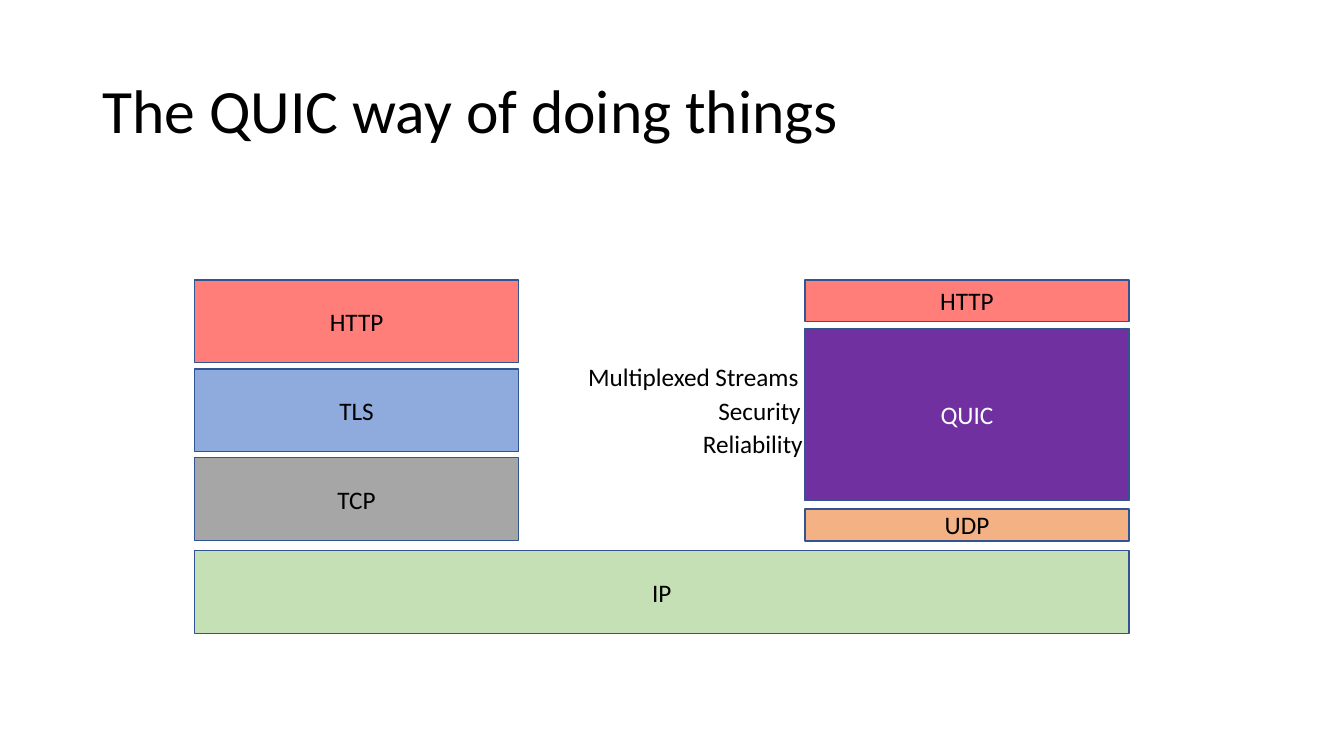
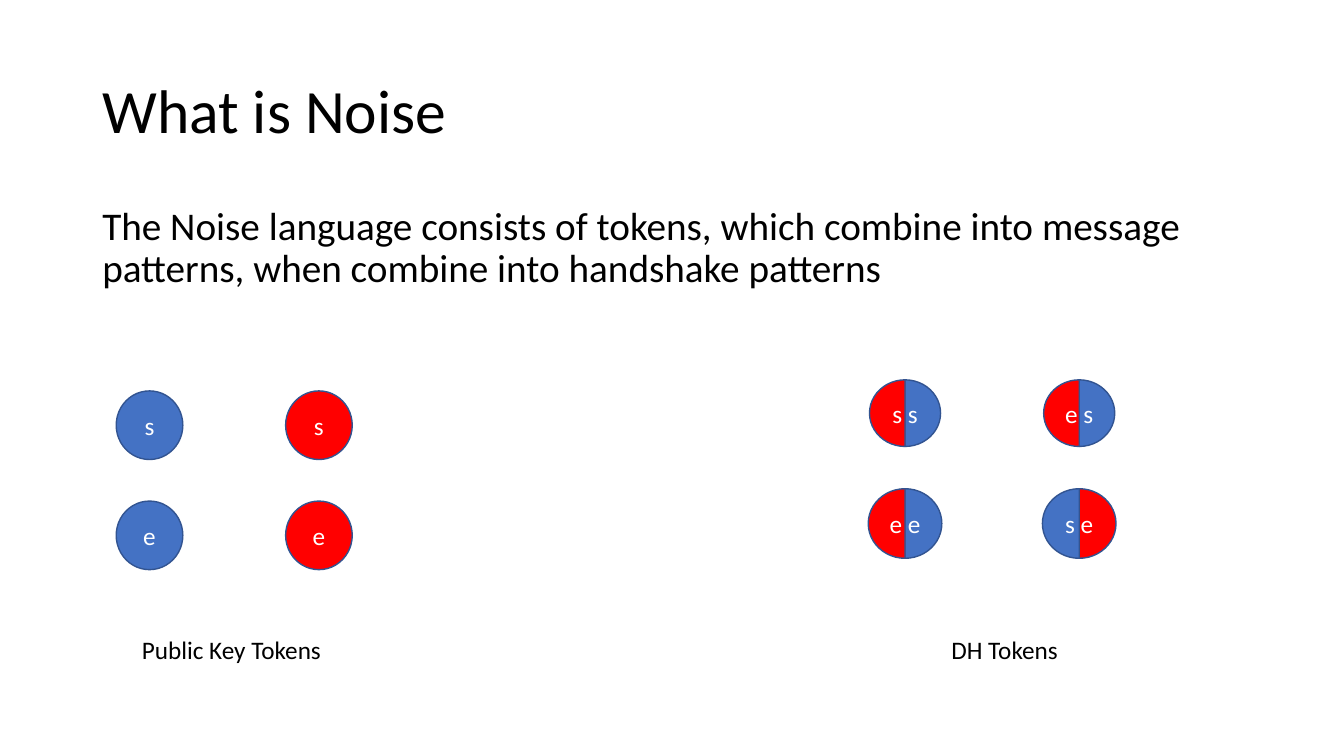
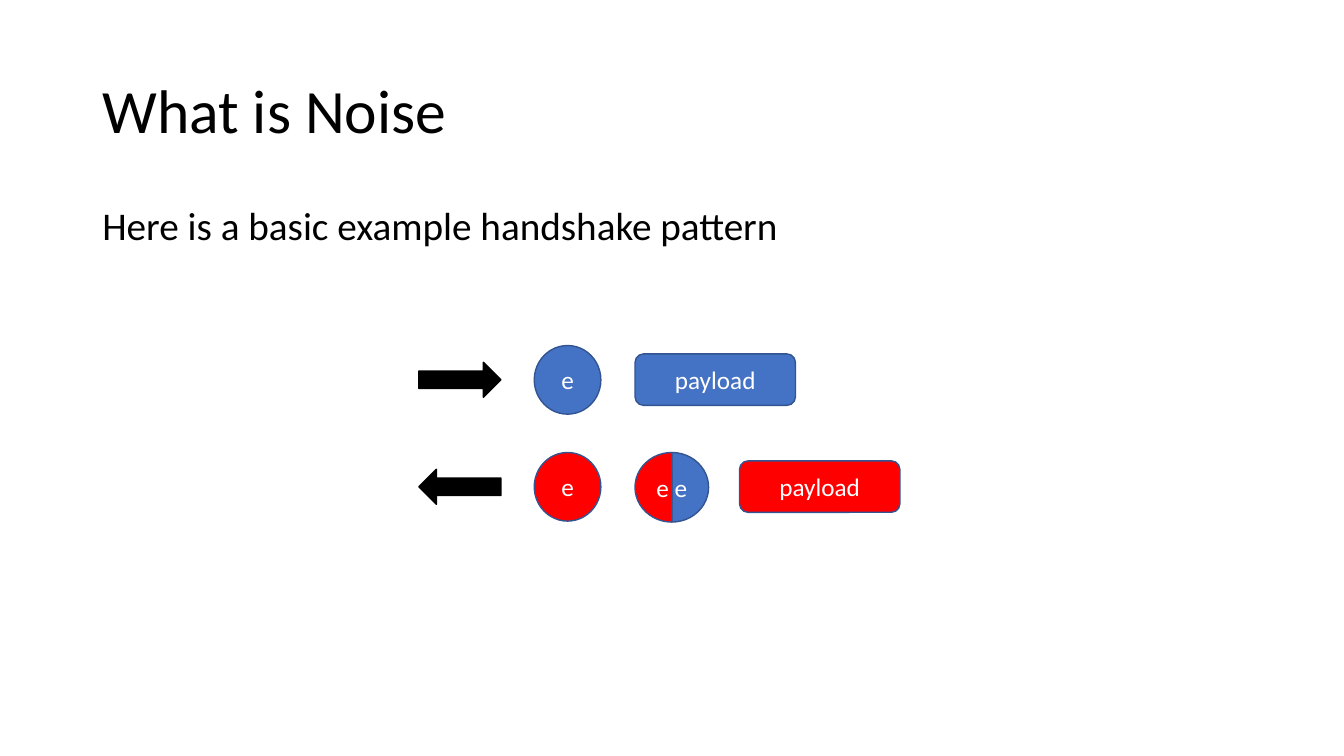
from pptx import Presentation
from pptx.dml.color import RGBColor
from pptx.enum import shapes, text
from pptx.util import Pt

FONT = "Calibri"
BLACK, WHITE = "000000", "FFFFFF"
BLUE, RED, OUTLINE = "4472C4", "FF0000", "325491"
SALMON, PALE_BLUE, GREY = "FF7E79", "8FAADC", "A6A6A6"
PURPLE, ORANGE, GREEN = "7030A0", "F4B183", "C5E0B4"
SHAPE = shapes.MSO_SHAPE
MIDDLE = text.MSO_ANCHOR.MIDDLE
LEFT, CENTER = text.PP_ALIGN.LEFT, text.PP_ALIGN.CENTER

TITLE_BOX = (66, 28.75, 828, 104.4)
BODY_BOX = (66, 143.75, 828, 342.6)
TOKEN_W, TOKEN_H = 47.6, 49
DH_SIZE = (52.6, 49.7)


def rgb(value):
    return RGBColor.from_string(value)


def write(tf, words, size=18, color=BLACK, align=LEFT):
    tf.text = words
    p = tf.paragraphs[0]
    p.alignment = align
    p.font.name, p.font.size = FONT, Pt(size)
    p.font.color.rgb = rgb(color)
    return p


def add_shape(parent, kind, box, fill, words="", color=WHITE, line=OUTLINE):
    sp = parent.shapes.add_shape(kind, *map(Pt, box))
    sp.shadow.inherit = False
    sp.fill.solid()
    sp.fill.fore_color.rgb = rgb(fill)
    sp.line.color.rgb = rgb(line)
    sp.line.width = Pt(1)
    if words:
        sp.text_frame.vertical_anchor = MIDDLE
        write(sp.text_frame, words, color=color, align=CENTER)
    return sp


def add_label(slide, words, left, top, width):
    sp = slide.shapes.add_textbox(Pt(left), Pt(top), Pt(width), Pt(29))
    sp.text_frame.word_wrap = False
    write(sp.text_frame, words)


def new_slide(prs, title, body=None):
    slide = prs.slides.add_slide(prs.slide_layouts[5])
    sp = slide.shapes.title
    sp.left, sp.top, sp.width, sp.height = map(Pt, TITLE_BOX)
    sp.text_frame.vertical_anchor = MIDDLE
    write(sp.text_frame, title, 44).line_spacing = 0.9
    if body:
        tf = slide.shapes.add_textbox(*map(Pt, BODY_BOX)).text_frame
        tf.word_wrap = True
        p = write(tf, body, 28)
        p.line_spacing, p.space_before = 0.9, Pt(10)
    return slide


def add_token(slide, left, top, fill, letter):
    add_shape(slide, SHAPE.OVAL, (left, top, TOKEN_W, TOKEN_H), fill, letter)


def add_dh_token(slide, box, letters, left_fill=RED, right_fill=BLUE):
    """A disc of two half pies; the left half carries both letters."""
    group = slide.shapes.add_group_shape()
    halves = ((right_fill, "", (162, 54)), (left_fill, letters, (54, 162)))
    for fill, words, (start, end) in halves:
        sp = add_shape(group, SHAPE.PIE, box, fill, words)
        sp.adjustments[0], sp.adjustments[1] = start, end
        sp.text_frame.word_wrap = False


def layer_stack(slide, left, top, width, layers):
    """Layers are (name, offset from top, height, fill, text colour)."""
    for name, offset, height, fill, color in layers:
        box = (left, top + offset, width, height)
        add_shape(slide, SHAPE.RECTANGLE, box, fill, name, color)


def protocol_stacks(slide, left, top, width):
    column, height, pitch = 231.4, 59.2, 63.5
    right = left + width - column
    classic = (("HTTP", SALMON), ("TLS", PALE_BLUE), ("TCP", GREY))
    layer_stack(slide, left, top, column,
                [(name, i * pitch, height, fill, BLACK)
                 for i, (name, fill) in enumerate(classic)])
    layer_stack(slide, right, top, column,
                [("HTTP", 0, 29.6, SALMON, BLACK),
                 ("QUIC", 34.6, 122.8, PURPLE, WHITE),
                 ("UDP", 163.5, 22.9, ORANGE, BLACK)])
    layer_stack(slide, left, top, width, [("IP", 193.3, height, GREEN, BLACK)])
    features = (("Multiplexed Streams", -162, 166),
                ("Security", -69, 74), ("Reliability", -80, 91))
    for i, (name, offset, label_width) in enumerate(features):
        add_label(slide, name, right + offset, top + 54.8 + i * 23.7, label_width)


def public_key_tokens(slide, left, top):
    for row, letter in enumerate("se"):
        for col, fill in enumerate((BLUE, RED)):
            add_token(slide, left + col * 121, top + row * 78.7, fill, letter)
    add_label(slide, "Public Key Tokens", left + 11.3, top + 170, 144)


def dh_tokens(slide, left, top):
    rows = ((("s s", "e s"), (50.8, 47.6)), (("e e", "s e"), DH_SIZE))
    for row, (names, (width, height)) in enumerate(rows):
        for col, name in enumerate(names):
            box = (left + 26.3 + col * 124.4 - width / 2, top + row * 77.8,
                   width, height)
            fills = (BLUE, RED) if name == "s e" else (RED, BLUE)
            add_dh_token(slide, box, name, *fills)
    add_label(slide, "DH Tokens", left + 52.3, top + 178, 91.4)


def handshake_message(slide, left, top, fill, rotation=0, dh=None):
    """A row: direction arrow, public key token, optional DH token, payload."""
    arrow = add_shape(slide, SHAPE.RIGHT_ARROW, (left, top + 12, 58.6, 25),
                      BLACK, line=BLACK)
    arrow.rotation = rotation
    add_token(slide, left + 82.4, top, fill, "e")
    payload = left + 154.4
    if dh:
        add_dh_token(slide, (payload, top, *DH_SIZE), dh)
        payload += 74.6
    add_shape(slide, SHAPE.ROUNDED_RECTANGLE, (payload, top + 6, 114.6, 36.8),
              fill, "payload")


def main():
    prs = Presentation()
    prs.slide_width, prs.slide_height = Pt(960), Pt(540)

    slide = new_slide(prs, "The QUIC way of doing things")
    protocol_stacks(slide, 139, 200, 667.4)

    slide = new_slide(prs, "What is Noise",
                      "The Noise language consists of tokens, which combine into "
                      "message patterns, when combine into handshake patterns")
    public_key_tokens(slide, 83, 279.2)
    dh_tokens(slide, 620.2, 271.3)

    slide = new_slide(prs, "What is Noise",
                      "Here is a basic example handshake pattern")
    handshake_message(slide, 299.2, 246.8, BLUE)
    handshake_message(slide, 299.2, 323.2, RED, rotation=180, dh="e e")

    prs.save("out.pptx")


if __name__ == "__main__":
    main()
